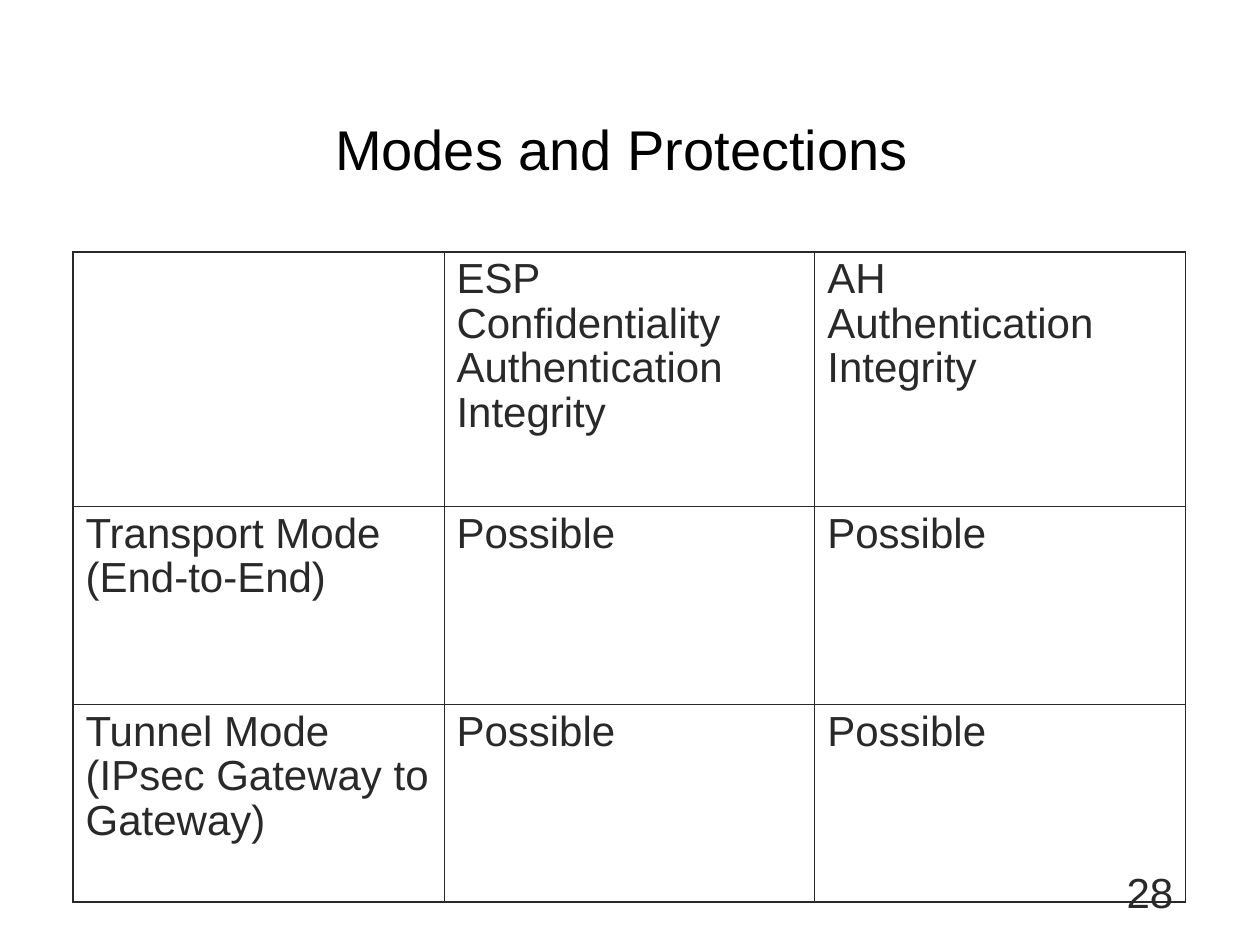
from pptx import Presentation
from pptx.dml.color import RGBColor
from pptx.enum.text import MSO_ANCHOR, PP_ALIGN
from pptx.util import Inches, Pt
from lxml import etree

BOTTOM, TOP = MSO_ANCHOR.BOTTOM, MSO_ANCHOR.TOP
CENTER, LEFT, RIGHT = PP_ALIGN.CENTER, PP_ALIGN.LEFT, PP_ALIGN.RIGHT
NS = "http://schemas.openxmlformats.org/drawingml/2006/main"

# Content: one list of lines per cell
TITLE = "Modes and Protections"
PAGE = "28"
ROWS = [
    [[], ["ESP", "Confidentiality", "Authentication", "Integrity"],
     ["AH", "Authentication", "Integrity"]],
    [["Transport Mode", "(End-to-End)"], ["Possible"], ["Possible"]],
    [["Tunnel Mode", "(IPsec Gateway to Gateway)"], ["Possible"], ["Possible"]],
]

THEME = {"font": "Arial", "title": "000000", "ink": "292929",
         "title_size": 32, "body_size": 24, "outer": 1.08, "inner": 0.45}

# Layout in inches
WIDTH, HEIGHT = 10, 7.5
TABLE = (0.58, 2, 8.83, 5.17)
ROW_HEIGHTS = [2.02, 1.57, 1.57]


def write(p, lines, size, color, align):
    p.alignment = align
    for i, line in enumerate(lines):
        if i:
            p.add_line_break()
        r = p.add_run()
        r.text = line
        r.font.name = THEME["font"]
        r.font.size = Pt(size)
        r.font.color.rgb = RGBColor.from_string(color)


def add_text(s, box, text, size, color, align, anchor):
    tf = s.shapes.add_textbox(*map(Inches, box)).text_frame
    tf.word_wrap = True
    tf.vertical_anchor = anchor
    write(tf.paragraphs[0], [text], size, color, align)


def set_borders(cell, widths):
    tc_pr = cell._tc.get_or_add_tcPr()
    for i, (side, width) in enumerate(zip("LRTB", widths)):
        ln = etree.Element(f"{{{NS}}}ln{side}", w=str(Pt(width)))
        fill = etree.SubElement(ln, f"{{{NS}}}solidFill")
        etree.SubElement(fill, f"{{{NS}}}srgbClr", val=THEME["ink"])
        tc_pr.insert(i, ln)


def add_grid(s):
    n_rows, n_cols = len(ROWS), len(ROWS[0])
    table = s.shapes.add_table(n_rows, n_cols, *map(Inches, TABLE)).table
    table.first_row = table.horz_banding = False
    for col in table.columns:
        col.width = Inches(TABLE[2] / n_cols)
    for row, height in zip(table.rows, ROW_HEIGHTS):
        row.height = Inches(height)
    for y, row in enumerate(ROWS):
        for x, lines in enumerate(row):
            cell = table.cell(y, x)
            cell.margin_left = cell.margin_right = Inches(0.1)
            cell.margin_top = cell.margin_bottom = Inches(0.05)
            cell.vertical_anchor = TOP
            cell.fill.background()
            p = cell.text_frame.paragraphs[0]
            p.line_spacing = 0.95
            write(p, lines, THEME["body_size"], THEME["ink"], LEFT)
            # Heavier line around the outside of the table
            edges = (x == 0, x == n_cols - 1, y == 0, y == n_rows - 1)
            set_borders(cell, [THEME["outer" if e else "inner"] for e in edges])


def main():
    prs = Presentation()
    prs.slide_width, prs.slide_height = Inches(WIDTH), Inches(HEIGHT)
    s = prs.slides.add_slide(prs.slide_layouts[6])
    # Page number
    add_text(s, (7.33, 6.83, 2.08, 0.5), PAGE, THEME["body_size"],
             THEME["ink"], RIGHT, TOP)
    # Title
    add_text(s, (1.02, 0.42, 7.83, 1.07), TITLE, THEME["title_size"],
             THEME["title"], CENTER, BOTTOM)
    # Modes by protocol
    add_grid(s)
    prs.save("out.pptx")


if __name__ == "__main__":
    main()
